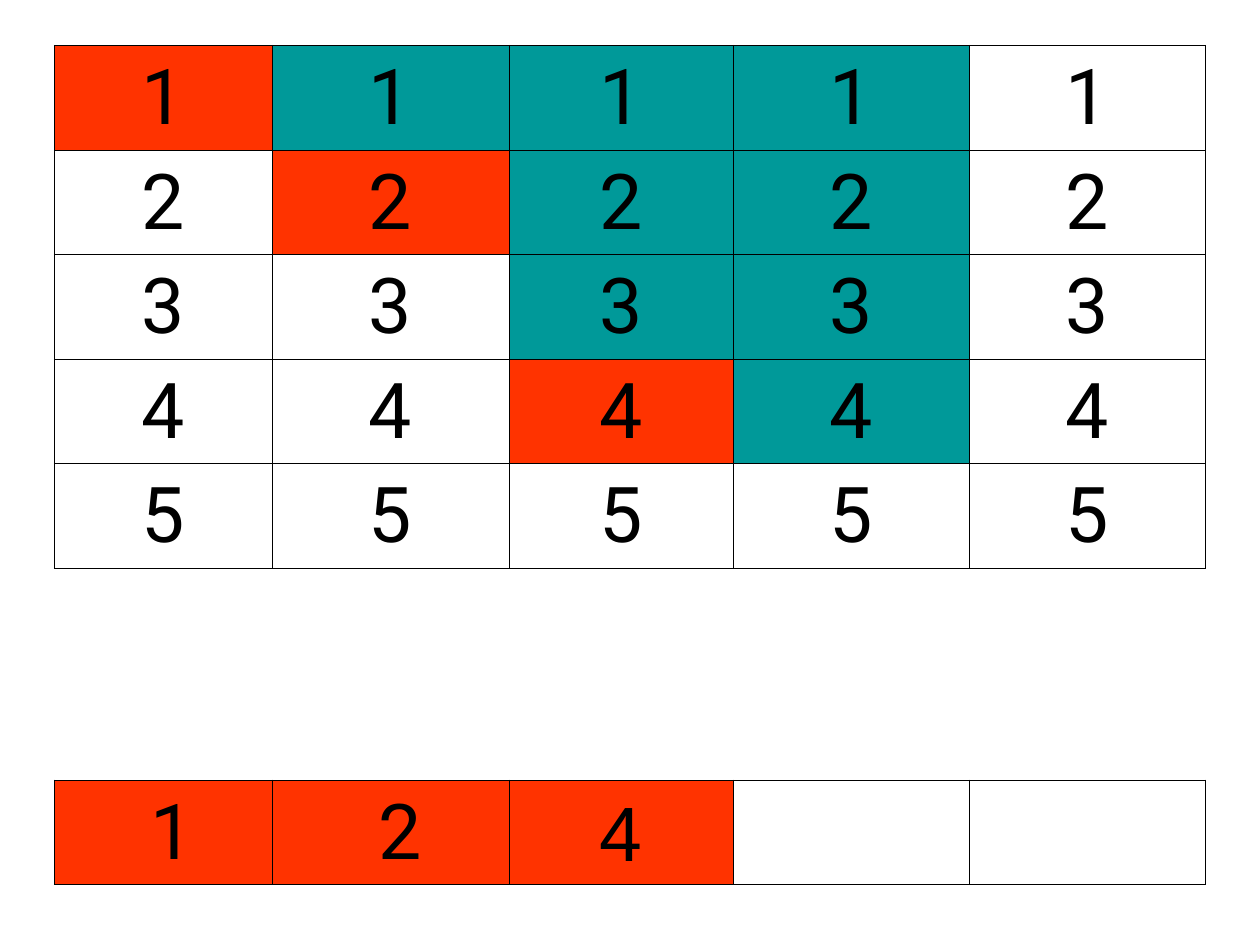
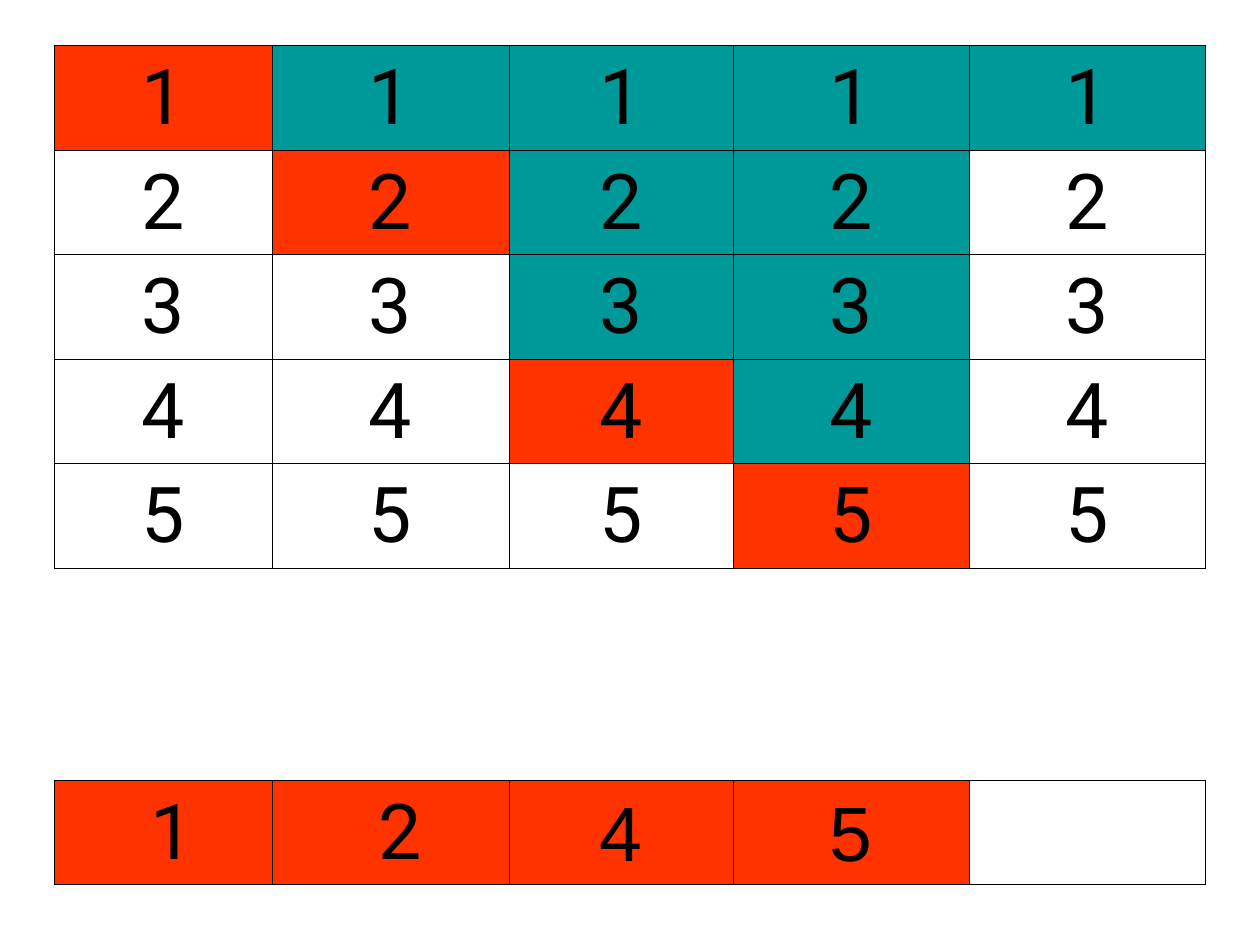
from lxml.etree import SubElement
from pptx import Presentation
from pptx.dml.color import RGBColor
from pptx.enum.text import MSO_ANCHOR, PP_ALIGN
from pptx.oxml.ns import qn
from pptx.util import Inches, Pt

PLACED = RGBColor(0xFF, 0x33, 0x00)
TRIED = RGBColor(0x00, 0x99, 0x99)
FREE = RGBColor(0xFF, 0xFF, 0xFF)
INK = RGBColor(0x00, 0x00, 0x00)

BOARD_SIZE = 5
GAP_ROW = BOARD_SIZE
RESULT_ROW = BOARD_SIZE + 1
COLUMN_WIDTHS = [1.73, 1.88, 1.78, 1.87, 1.88]
ROW_HEIGHTS = [0.83] * BOARD_SIZE + [1.68, 0.83]
LEFT, TOP = 0.43, 0.36

# For each step: rows placed so far, and how many rows were tried in each column
STEPS = [
    ([1, 2, 4], [0, 1, 3, 4, 0]),
    ([1, 2, 4, 5], [0, 1, 3, 4, 1]),
]


def set_borders(cell, ruled_sides):
    """Rule the given sides in thin black and hide the others."""
    properties = cell._tc.get_or_add_tcPr()
    for side in "LRTB":
        line = SubElement(properties, qn(f"a:ln{side}"), w=str(Pt(0.45)))
        if side in ruled_sides:
            fill = SubElement(line, qn("a:solidFill"))
            SubElement(fill, qn("a:srgbClr"), val=str(INK))
        else:
            SubElement(line, qn("a:noFill"))


def write_number(cell, number, font_name):
    cell.vertical_anchor = MSO_ANCHOR.BOTTOM
    para = cell.text_frame.paragraphs[0]
    para.alignment = PP_ALIGN.CENTER
    span = para.add_run()
    span.text = str(number)
    span.font.name = font_name
    span.font.size = Pt(44)
    span.font.color.rgb = INK


deck = Presentation()
deck.slide_width = Inches(10)
deck.slide_height = Inches(7.5)

for placed, tried in STEPS:
    page = deck.slides.add_slide(deck.slide_layouts[6])
    board = page.shapes.add_table(
        len(ROW_HEIGHTS), BOARD_SIZE, Inches(LEFT), Inches(TOP),
        Inches(sum(COLUMN_WIDTHS)), Inches(sum(ROW_HEIGHTS))).table
    board.first_row = False
    board.horz_banding = False
    for row, height in zip(board.rows, ROW_HEIGHTS):
        row.height = Inches(height)

    for column, width in enumerate(COLUMN_WIDTHS):
        board.columns[column].width = Inches(width)
        choice = placed[column] if column < len(placed) else None

        for row in range(BOARD_SIZE):
            number = row + 1
            cell = board.cell(row, column)
            set_borders(cell, "LRTB")
            cell.fill.solid()
            if number == choice:
                cell.fill.fore_color.rgb = PLACED
            elif number <= tried[column]:
                cell.fill.fore_color.rgb = TRIED
            else:
                cell.fill.fore_color.rgb = FREE
            write_number(cell, number, "Roboto")

        gap = board.cell(GAP_ROW, column)
        set_borders(gap, "TB")
        gap.fill.background()

        result = board.cell(RESULT_ROW, column)
        set_borders(result, "LRTB")
        result.fill.solid()
        result.fill.fore_color.rgb = PLACED if choice else FREE
        if choice:
            # The first two results sit slightly right of centre
            shifted = column < 2
            result.margin_left = Inches(0.25 if shifted else 0.1)
            write_number(result, choice, "Roboto" if shifted else "Arial")

deck.save("out.pptx")
